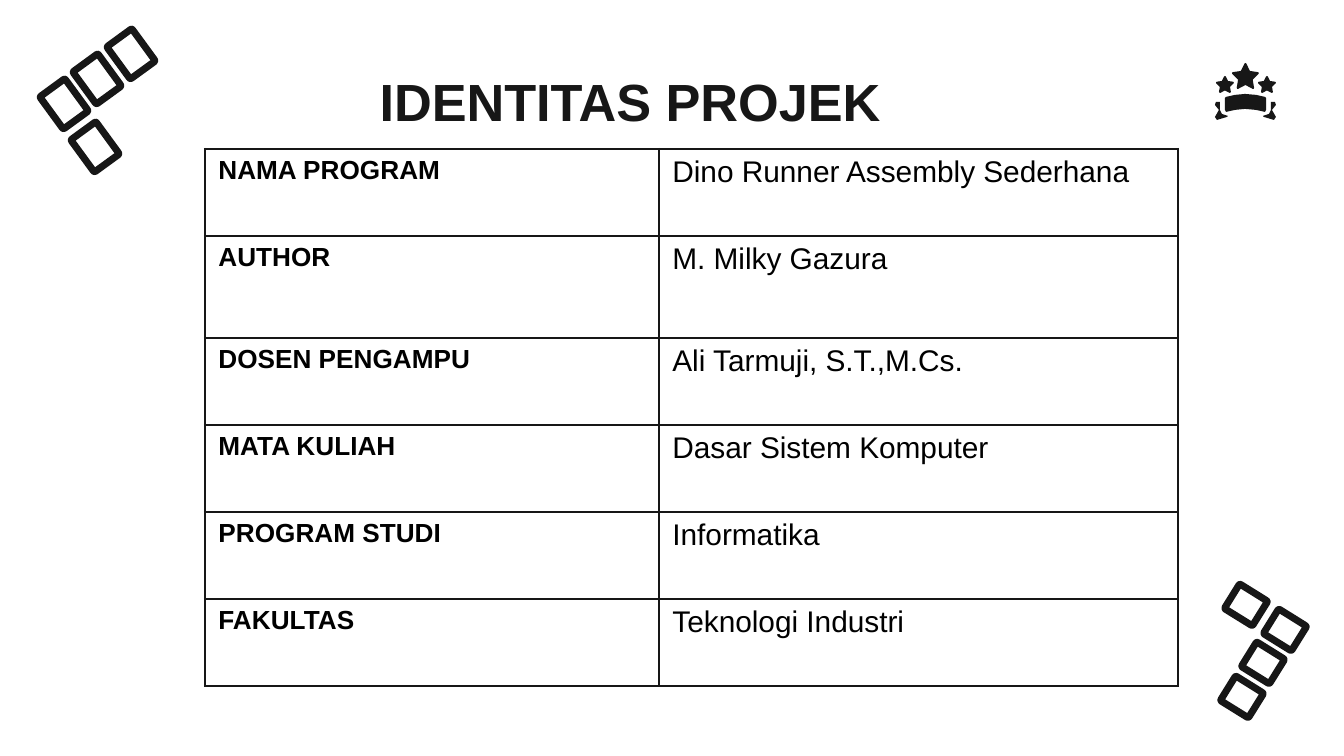
import math

import pptx
import pptx.dml.color
import pptx.enum.shapes
import pptx.enum.text
import pptx.oxml
import pptx.oxml.ns
import pptx.util

SCALE = 914400 / 134.4
INK = "171717"
ROWS = [
    ("NAMA PROGRAM", "Dino Runner Assembly Sederhana"),
    ("AUTHOR", "M. Milky Gazura"),
    ("DOSEN PENGAMPU", "Ali Tarmuji, S.T.,M.Cs."),
    ("MATA KULIAH", "Dasar Sistem Komputer"),
    ("PROGRAM STUDI", "Informatika"),
    ("FAKULTAS", "Teknologi Industri"),
]


def px(num):
    return pptx.util.Emu(round(num * SCALE))


def color(code):
    return pptx.dml.color.RGBColor.from_string(code)


def style(par, size, bold, code):
    par.font.name = "Arial"
    par.font.size = pptx.util.Pt(size)
    par.font.bold = bold
    par.font.color.rgb = color(code)


def paint(shape):
    shape.shadow.inherit = False
    shape.fill.solid()
    shape.fill.fore_color.rgb = color(INK)
    shape.line.fill.background()


def outline(slide, *loops):
    """Draw one filled shape from closed loops of px points."""
    pen = None
    for loop in loops:
        pts = [(px(x), px(y)) for x, y in loop]
        if pen is None:
            pen = slide.shapes.build_freeform(*pts[0], scale=1.0)
        else:
            pen.move_to(*pts[0])
        pen.add_line_segments(pts[1:], close=True)
    shape = pen.convert_to_shape()
    paint(shape)
    return shape


def tile(slide, mid, size, rim, turn):
    """Draw a turned square frame with round outer corners."""
    (x, y), (w, h) = mid, size
    bend = 5
    outer = []
    for n, (sx, sy) in enumerate([(1, 1), (-1, 1), (-1, -1), (1, -1)]):
        cx, cy = x + sx * (w / 2 - bend), y + sy * (h / 2 - bend)
        for step in range(5):
            arc = math.radians(90 * n + 22.5 * step)
            outer.append((cx + bend * math.cos(arc), cy + bend * math.sin(arc)))
    dx, dy = w / 2 - rim, h / 2 - rim
    inner = [(x - dx, y - dy), (x - dx, y + dy), (x + dx, y + dy), (x + dx, y - dy)]
    outline(slide, outer, inner).rotation = turn


def star(slide, x, y, w, h):
    kind = pptx.enum.shapes.MSO_SHAPE.STAR_5_POINT
    shape = slide.shapes.add_shape(kind, px(x), px(y), px(w), px(h))
    shape.adjustments[0] = 0.25
    paint(shape)
    shape.line.color.rgb = color(INK)
    shape.line.width = px(2)
    shape.line._get_or_add_ln().append(pptx.oxml.parse_xml(
        f'<a:round {pptx.oxml.ns.nsdecls("a")}/>'))


def badge(slide):
    for x, y, w, h in [(1217, 77, 16, 15), (1233, 64, 25, 24), (1259, 77, 16, 15)]:
        star(slide, x, y, w, h)
    tail = [(1220, 102), (1216, 102), (1215, 105), (1219, 110), (1215, 117),
            (1217, 120), (1227, 117), (1228, 116), (1222, 114), (1220, 110)]
    outline(slide, tail)
    outline(slide, [(2491 - x, y) for x, y in tail])
    top = [(1225, 98), (1226, 97), (1235, 95), (1245, 94),
           (1256, 95), (1265, 97), (1266, 98)]
    base = [(1266, 110), (1265, 112), (1256, 110), (1245, 109),
            (1235, 110), (1226, 112), (1225, 110)]
    outline(slide, top + base)


def heading(slide, text):
    box = slide.shapes.title
    box.left, box.top, box.width, box.height = px(216), px(62), px(828), px(77)
    frame = box.text_frame
    frame.text = text
    frame.vertical_anchor = pptx.enum.text.MSO_ANCHOR.TOP
    par = frame.paragraphs[0]
    par.alignment = pptx.enum.text.PP_ALIGN.CENTER
    style(par, 28, True, INK)


def border(cell):
    props = cell._tc.get_or_add_tcPr()
    for side in ("lnL", "lnR", "lnT", "lnB"):
        props.append(pptx.oxml.parse_xml(
            f'<a:{side} {pptx.oxml.ns.nsdecls("a")} w="{pptx.util.Pt(1.5)}">'
            f'<a:solidFill><a:srgbClr val="{INK}"/></a:solidFill></a:{side}>'))


def grid(slide, rows):
    widths = (454, 519)
    tall = [102 if n == 1 else 87 for n in range(len(rows))]
    table = slide.shapes.add_table(
        len(rows), len(widths), px(205), px(149), px(sum(widths)), px(sum(tall))).table
    table.first_row = table.horz_banding = False
    for col, width in zip(table.columns, widths):
        col.width = px(width)
    for row, height, texts in zip(table.rows, tall, rows):
        row.height = px(height)
        for cell, text, size, bold in zip(row.cells, texts, (14, 16), (True, False)):
            cell.text = text
            style(cell.text_frame.paragraphs[0], size, bold, "000000")
            border(cell)
            cell.fill.background()


def main():
    deck = pptx.Presentation()
    deck.slide_width, deck.slide_height = px(1344), px(756)
    slide = deck.slides.add_slide(deck.slide_layouts[5])
    heading(slide, "IDENTITAS PROJEK")
    grid(slide, ROWS)
    for mid in [(97, 79), (131, 54), (64, 104), (95, 147)]:
        tile(slide, mid, (47, 38), 7, 53.9)
    for mid in [(1263, 663), (1242, 697), (1285, 630), (1246, 605)]:
        tile(slide, mid, (40, 36), 7, 31.9)
    badge(slide)
    deck.save("out.pptx")


if __name__ == "__main__":
    main()
